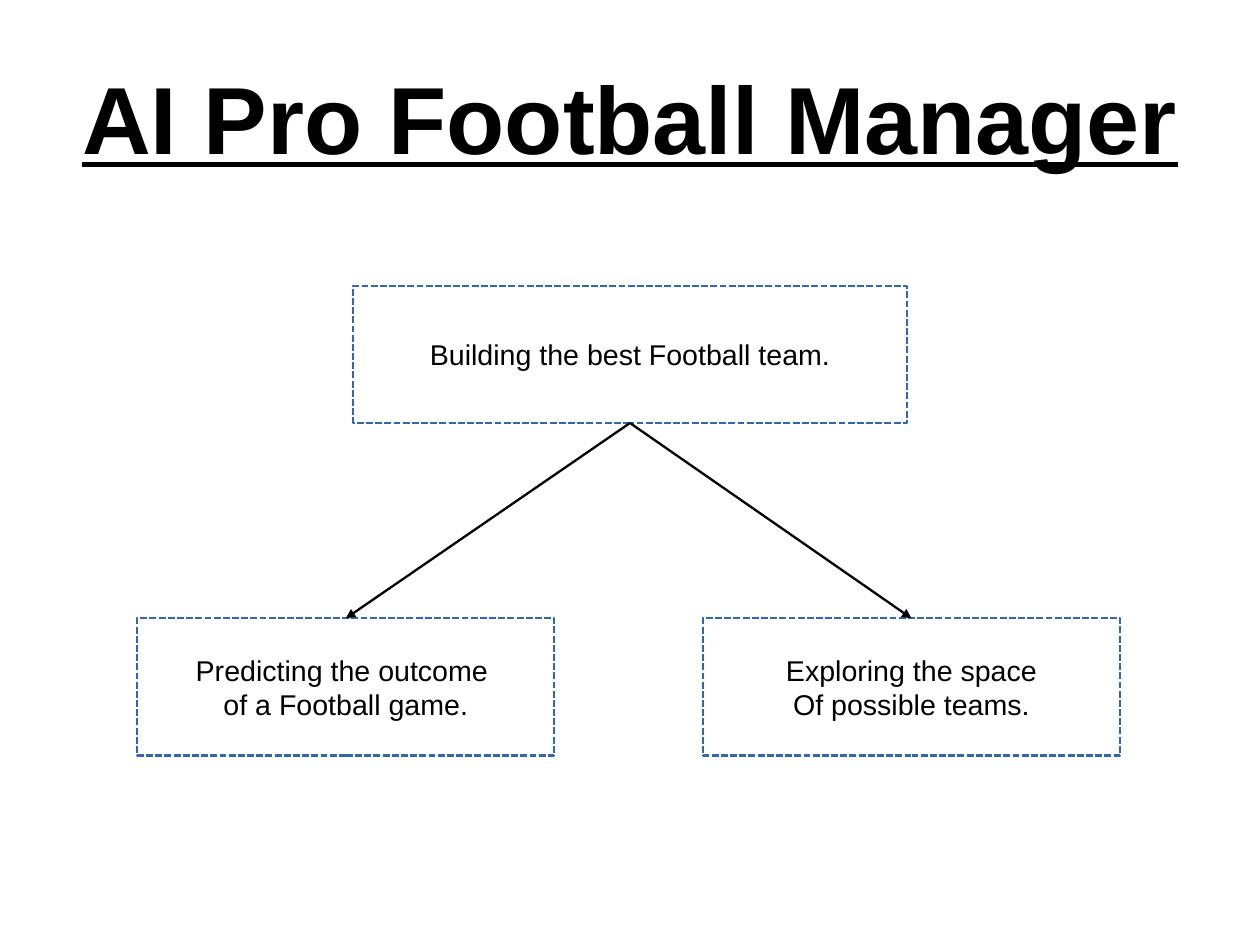
import pptx
import pptx.dml.color
import pptx.enum.dml
import pptx.enum.shapes
import pptx.enum.text
import pptx.oxml
import pptx.oxml.ns
import pptx.util
from pptx.util import Cm

COLORS = {"ink": "000000", "paper": "FFFFFF", "border": "3465AF"}
BOX_HEIGHT = 3.05
CHILD_TOP = 13.74
CHILD_WIDTH = 9.27
TOP_SITE, BOTTOM_SITE = 0, 2


def color(name):
    return pptx.dml.color.RGBColor.from_string(COLORS[name])


class Slide:
    font = "Arial"
    line_width = pptx.util.Pt(1.45)

    def __init__(self, deck):
        self.page = deck.slides.add_slide(deck.slide_layouts[6])

    def set_text(self, shape, text, size, bold=False, underline=False):
        frame = shape.text_frame
        frame.text = text
        frame.vertical_anchor = pptx.enum.text.MSO_ANCHOR.MIDDLE
        for para in frame.paragraphs:
            para.alignment = pptx.enum.text.PP_ALIGN.CENTER
            for span in para.runs:
                span.font.name = self.font
                span.font.size = pptx.util.Pt(size)
                span.font.bold = bold
                span.font.underline = underline
                span.font.color.rgb = color("ink")

    def title(self, text, left, top, width, height):
        box = self.page.shapes.add_textbox(Cm(left), Cm(top), Cm(width), Cm(height))
        frame = box.text_frame
        frame.word_wrap = True
        frame.margin_left = frame.margin_right = 0
        frame.margin_top = frame.margin_bottom = 0
        self.set_text(box, text, 60, bold=True, underline=True)

    def box(self, text, left, top, width):
        """Add a dashed rectangle with centred text."""
        box = self.page.shapes.add_shape(
            pptx.enum.shapes.MSO_SHAPE.RECTANGLE,
            Cm(left), Cm(top), Cm(width), Cm(BOX_HEIGHT))
        box.shadow.inherit = False
        box.fill.solid()
        box.fill.fore_color.rgb = color("paper")
        box.line.color.rgb = color("border")
        box.line.width = self.line_width
        box.line.dash_style = pptx.enum.dml.MSO_LINE.SQUARE_DOT
        box.text_frame.word_wrap = False
        self.set_text(box, text, 18)
        return box

    def arrow(self, parent, child):
        """Join the bottom of parent to the top of child."""
        arrow = self.page.shapes.add_connector(
            pptx.enum.shapes.MSO_CONNECTOR.STRAIGHT, 0, 0, 0, 0)
        arrow.begin_connect(parent, BOTTOM_SITE)
        arrow.end_connect(child, TOP_SITE)
        arrow.line.color.rgb = color("ink")
        arrow.line.width = self.line_width
        namespace = pptx.oxml.ns.nsdecls("a")
        properties = arrow.element.spPr
        properties.get_or_add_ln().append(
            pptx.oxml.parse_xml(f'<a:tailEnd {namespace} type="triangle"/>'))
        properties.append(pptx.oxml.parse_xml(f"<a:effectLst {namespace}/>"))


def main():
    deck = pptx.Presentation()
    deck.slide_width, deck.slide_height = Cm(28), Cm(21)
    slide = Slide(deck)
    slide.title("AI Pro Football Manager", 1.4, 0.84, 25.2, 3.5)
    goal = slide.box("Building the best Football team.", 7.85, 6.35, 12.3)
    tasks = [
        ("Predicting the outcome \vof a Football game.", 3.05),
        ("Exploring the space\nOf possible teams.", 15.62),
    ]
    for text, left in tasks:
        slide.arrow(goal, slide.box(text, left, CHILD_TOP, CHILD_WIDTH))
    deck.save("out.pptx")


if __name__ == "__main__":
    main()
